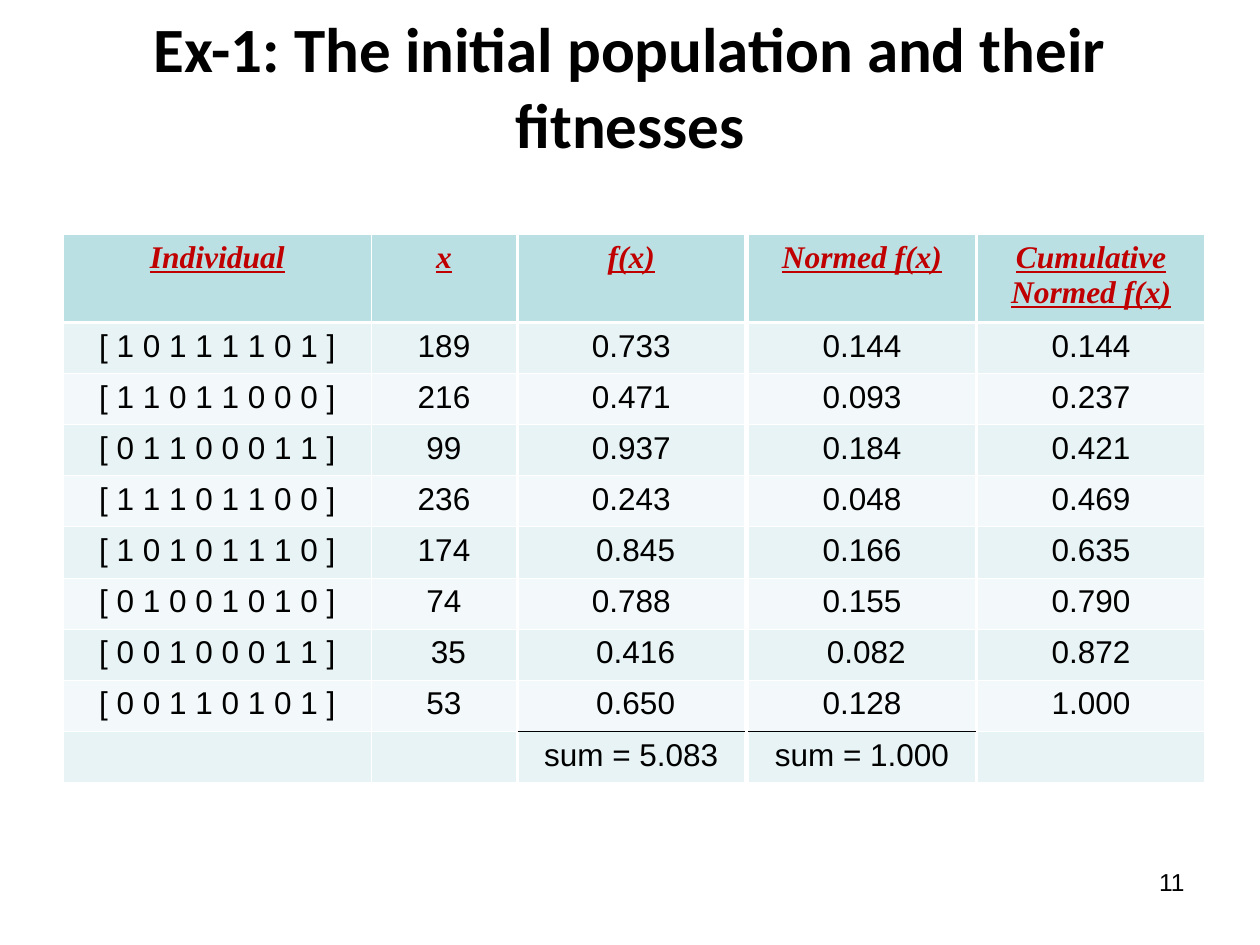
"""Builds a slide with the initial population of a genetic algorithm and its fitnesses."""
from dataclasses import dataclass

from lxml import etree
from pptx import Presentation
from pptx.dml.color import RGBColor
from pptx.enum.text import MSO_ANCHOR, MSO_AUTO_SIZE, PP_ALIGN
from pptx.oxml.ns import qn
from pptx.util import Cm, Pt

CENTER = PP_ALIGN.CENTER
RIGHT = PP_ALIGN.RIGHT
MIDDLE = MSO_ANCHOR.MIDDLE
NO_AUTOFIT = MSO_AUTO_SIZE.NONE

BLACK, WHITE, RED = "000000", "FFFFFF", "C00000"
HEADER_FILL, ODD_FILL, EVEN_FILL = "BBE0E3", "E7F3F4", "F3F9FA"
TABLE_TOP, HEADER_HEIGHT, ROW_HEIGHT = 4.72, 1.78, 1.03
THIN, THICK = 0.45, 1.47


@dataclass(frozen=True)
class TextStyle:
    font: str
    size: float
    color: str = BLACK
    bold: bool = False
    italic: bool = False
    underline: bool = False


@dataclass(frozen=True)
class Column:
    width: float
    heading: str
    values: tuple[str, ...]
    total: str = ""


@dataclass(frozen=True)
class ColumnGroup:
    left: float
    columns: tuple[Column, ...]


TITLE = TextStyle("Calibri", 36, bold=True)
HEADING = TextStyle("Times New Roman", 18, RED, True, True, True)
BODY = TextStyle("Arial", 18)
PAGE_NUMBER = TextStyle("Arial", 14)

GROUPS = (
    ColumnGroup(1.27, (
        Column(6.22, "Individual", (
            "[ 1 0 1 1 1 1 0 1 ]", "[ 1 1 0 1 1 0 0 0 ]",
            "[ 0 1 1 0 0 0 1 1 ]", "[ 1 1 1 0 1 1 0 0 ]",
            "[ 1 0 1 0 1 1 1 0 ]", "[ 0 1 0 0 1 0 1 0 ]",
            "[ 0 0 1 0 0 0 1 1 ]", "[ 0 0 1 1 0 1 0 1 ]")),
        Column(2.92, "x", ("189", "216", "99", "236", "174", "74", " 35", "53")),
    )),
    ColumnGroup(10.44, (
        Column(4.57, "f(x)", ("0.733", "0.471", "0.937", "0.243",
                              " 0.845", "0.788", " 0.416", " 0.650"), "sum = 5.083"),
    )),
    ColumnGroup(15.09, (
        Column(4.57, "Normed f(x)", ("0.144", "0.093", "0.184", "0.048",
                                     "0.166", "0.155", " 0.082", "0.128"), "sum = 1.000"),
    )),
    ColumnGroup(19.71, (
        Column(4.57, "Cumulative Normed f(x)", ("0.144", "0.237", "0.421", "0.469",
                                                "0.635", "0.790", "0.872", "1.000")),
    )),
)


def rgb(value: str) -> RGBColor:
    return RGBColor.from_string(value)


def style_font(font, style: TextStyle) -> None:
    font.name = style.font
    font.size = Pt(style.size)
    font.color.rgb = rgb(style.color)
    font.bold = style.bold
    font.italic = style.italic
    font.underline = style.underline


def write(frame, text: str, style: TextStyle, align=CENTER) -> None:
    para = frame.paragraphs[0]
    para.alignment = align
    if text:
        span = para.add_run()
        span.text = text
        style_font(span.font, style)
    else:
        style_font(para.font, style)


def set_borders(cell, top: tuple[str, float], bottom: tuple[str, float]) -> None:
    side = (WHITE, THIN)
    properties = cell._tc.get_or_add_tcPr()
    borders = {"a:lnL": side, "a:lnR": side, "a:lnT": top, "a:lnB": bottom}
    for position, (tag, (color, width)) in enumerate(borders.items()):
        line = etree.Element(qn(tag), w=str(Pt(width)))
        fill = etree.SubElement(line, qn("a:solidFill"))
        etree.SubElement(fill, qn("a:srgbClr"), val=color)
        properties.insert(position, line)


def add_group(page, group: ColumnGroup) -> None:
    row_count = len(group.columns[0].values) + 2
    width = sum(column.width for column in group.columns)
    height = HEADER_HEIGHT + ROW_HEIGHT * (row_count - 1)
    table = page.shapes.add_table(
        row_count, len(group.columns), Cm(group.left), Cm(TABLE_TOP), Cm(width), Cm(height)
    ).table
    table.horz_banding = False
    table.first_row = False
    for row, table_row in enumerate(table.rows):
        table_row.height = Cm(ROW_HEIGHT if row else HEADER_HEIGHT)
    for index, column in enumerate(group.columns):
        table.columns[index].width = Cm(column.width)
        rules = [(WHITE, THIN)] * (row_count + 1)
        rules[1] = (WHITE, THICK)
        if column.total:
            rules[-2] = (BLACK, THIN)
        for row, text in enumerate((column.heading, *column.values, column.total)):
            cell = table.cell(row, index)
            fill = (ODD_FILL if row % 2 else EVEN_FILL) if row else HEADER_FILL
            cell.fill.solid()
            cell.fill.fore_color.rgb = rgb(fill)
            set_borders(cell, rules[row], rules[row + 1])
            write(cell.text_frame, text, BODY if row else HEADING)


def add_title(page, text: str) -> None:
    title = page.shapes.title
    title.left, title.top, title.width, title.height = Cm(1.27), Cm(0.13), Cm(22.86), Cm(3.18)
    frame = title.text_frame
    frame.auto_size = NO_AUTOFIT
    frame.word_wrap = True
    frame.vertical_anchor = MIDDLE
    write(frame, text, TITLE)


def add_page_number(page, text: str) -> None:
    box = page.shapes.add_textbox(Cm(18.21), Cm(17.35), Cm(5.92), Cm(1.32))
    box.text_frame.word_wrap = True
    write(box.text_frame, text, PAGE_NUMBER, RIGHT)


def main() -> None:
    deck = Presentation()
    deck.slide_width, deck.slide_height = Cm(25.4), Cm(19.05)
    page = deck.slides.add_slide(deck.slide_layouts[5])
    add_title(page, "Ex-1: The initial population and their fitnesses")
    for group in GROUPS:
        add_group(page, group)
    add_page_number(page, "11")
    deck.save("out.pptx")


if __name__ == "__main__":
    main()
